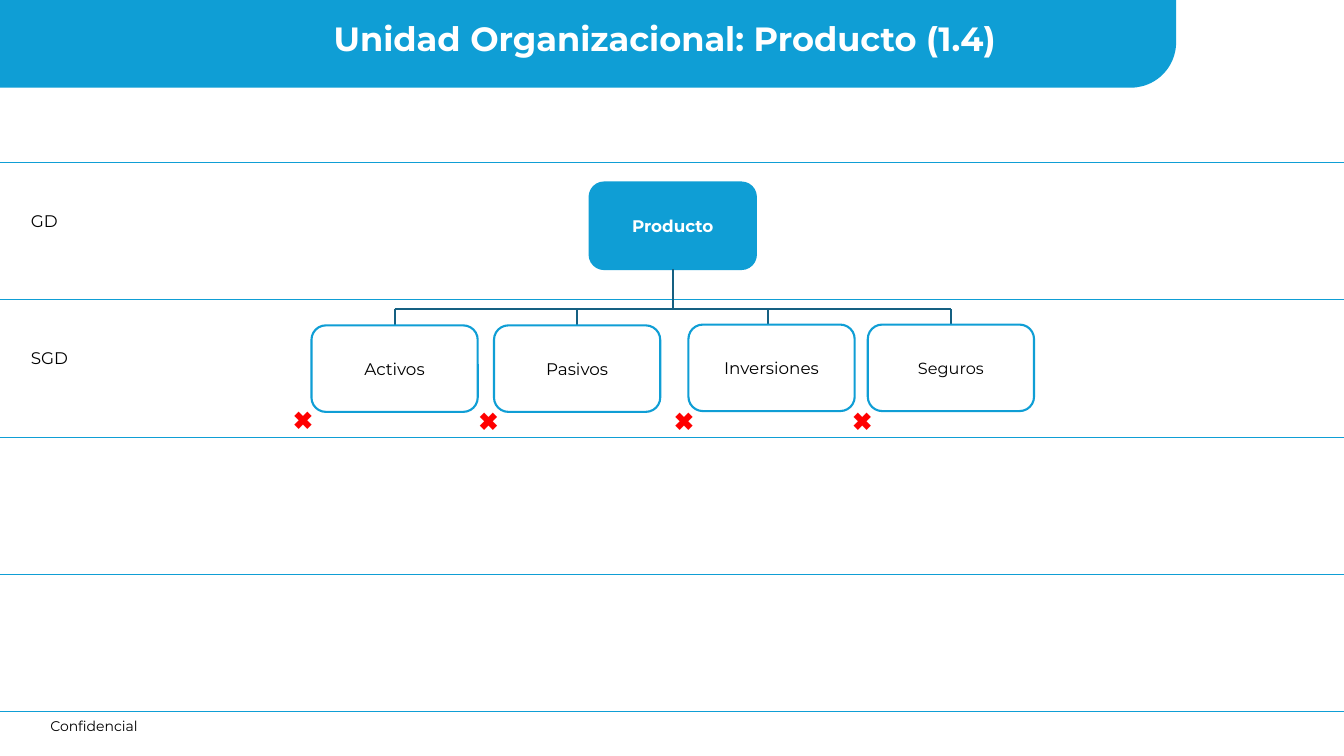
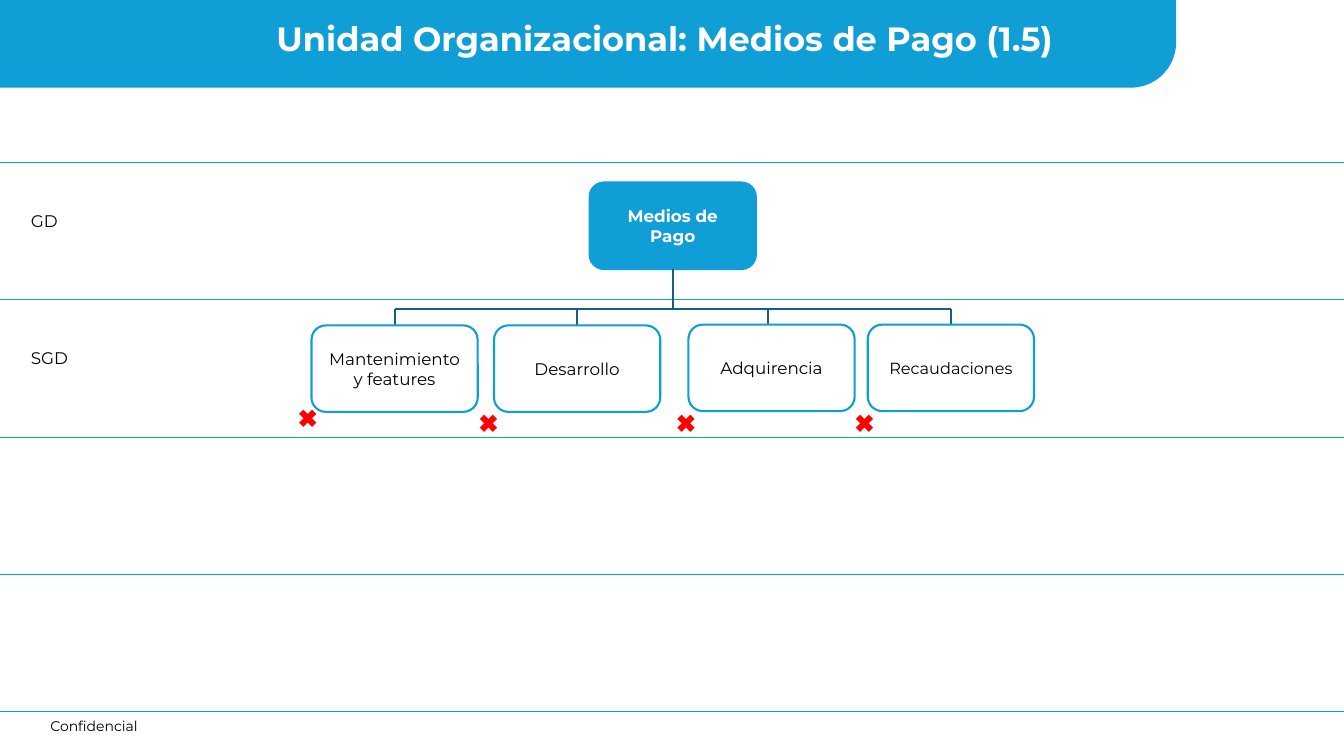
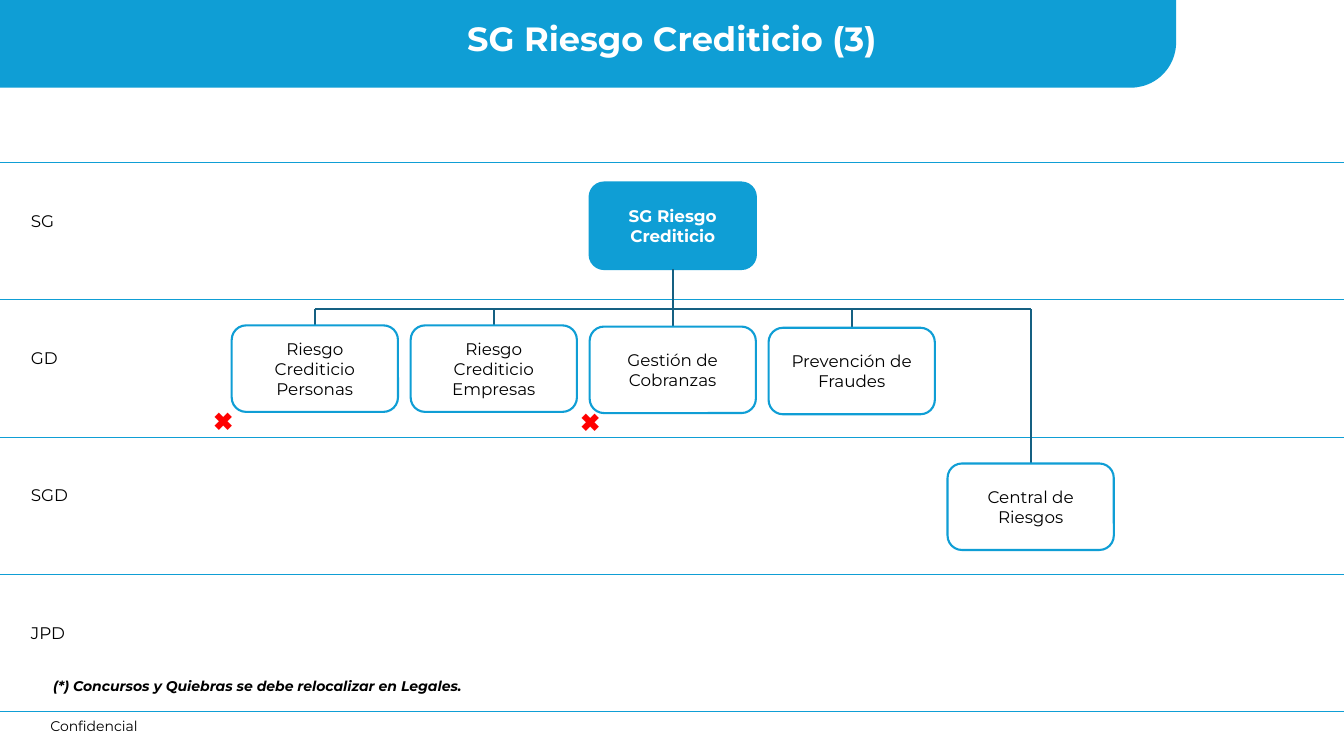
from dataclasses import dataclass
from typing import Optional

from pptx import Presentation
from pptx import util as u
from pptx.dml import color
from pptx.enum import shapes, text
from pptx.oxml import ns
from lxml import etree


# Theme: colours, fonts and type sizes
@dataclass(frozen=True)
class Theme:
    blue: str = "0F9ED5"
    link: str = "156082"
    black: str = "000000"
    white: str = "FFFFFF"
    red: str = "FF0000"
    font: str = "Montserrat"
    mark_font: str = "Roboto"
    title_size: float = 24
    mark_size: float = 18
    body_size: float = 12
    small_size: float = 10


THEME = Theme()

# Shared geometry, in centimetres
SLIDE_W, SLIDE_H = 33.87, 19.05
ROW_TOP, ROW_STEP, ROW_LINES = 4.09, 3.46, 5
UNIT_W, UNIT_H = 4.19, 2.18
HEAD_X, HEAD_Y = 14.86, 4.6
BUS_Y = 7.79


@dataclass(frozen=True)
class Unit:
    name: str
    x: float
    y: float = 8.2
    mark: Optional[tuple[float, float]] = None
    size: float = THEME.body_size
    drop_shift: float = 0

    @property
    def center(self) -> float:
        return self.x + UNIT_W / 2


@dataclass(frozen=True)
class Chart:
    title: str
    levels: tuple[str, ...]
    head: str
    units: tuple[Unit, ...]
    title_x: float = 4.24
    note: str = ""


# Content
def four_units(names: tuple[str, ...], marks: tuple[tuple[float, float], ...]) -> tuple[Unit, ...]:
    """The four-unit row that both organisational units use."""
    first, second, third, fourth = names
    return (
        Unit(first, 7.85, mark=marks[0]),
        Unit(second, 12.45, mark=marks[1]),
        Unit(third, 17.35, 8.18, marks[2], drop_shift=-0.09),
        Unit(fourth, 21.87, 8.18, marks[3], size=11.5),
    )


def risk_x(column: int) -> float:
    return 5.84 + 4.51 * column


CHARTS = (
    Chart(
        "Unidad Organizacional: Producto (1.4)", ("GD", "SGD"), "Producto",
        four_units(("Activos", "Pasivos", "Inversiones", "Seguros"),
                   ((7.14, 10.06), (11.81, 10.08), (16.74, 10.08), (21.23, 10.08))),
    ),
    Chart(
        "Unidad Organizacional: Medios de Pago (1.5)", ("GD", "SGD"), "Medios de Pago",
        four_units(("Mantenimiento y features", "Desarrollo", "Adquirencia", "Recaudaciones"),
                   ((7.26, 10.01), (11.81, 10.13), (16.79, 10.13), (21.29, 10.13))),
    ),
    Chart(
        "SG Riesgo Crediticio (3)", ("SG", "GD", "SGD", "JPD"), "SG Riesgo Crediticio",
        (
            Unit("Riesgo Crediticio Personas", risk_x(0), mark=(5.13, 10.08)),
            Unit("Riesgo Crediticio Empresas", risk_x(1)),
            Unit("Gestión de Cobranzas", risk_x(2), 8.23, (14.38, 10.11)),
            Unit("Prevención de Fraudes", risk_x(3), 8.26),
            Unit("Central de Riesgos", risk_x(4), 11.68),
        ),
        title_x=4.42,
        note="(*) Concursos y Quiebras se debe relocalizar en Legales.",
    ),
)


# Drawing helpers
def rgb(value: str) -> color.RGBColor:
    return color.RGBColor.from_string(value)


def write(shape, words: str, *, size: float = THEME.body_size, ink: str = THEME.black,
          font: str = THEME.font, bold: bool = False, italic: bool = False,
          centered: bool = False) -> None:
    frame = shape.text_frame
    frame.word_wrap = True
    paragraph = frame.paragraphs[0]
    paragraph.alignment = text.PP_ALIGN.CENTER if centered else text.PP_ALIGN.LEFT
    run = paragraph.add_run()
    run.text = words
    run.font.name = font
    run.font.size = u.Pt(size)
    run.font.bold = bold
    run.font.italic = italic
    run.font.color.rgb = rgb(ink)


def add_text(slide, words: str, x: float, y: float, w: float, h: float, **style) -> None:
    write(slide.shapes.add_textbox(u.Cm(x), u.Cm(y), u.Cm(w), u.Cm(h)), words, **style)


def add_line(slide, x1: float, y1: float, x2: float, y2: float,
             ink: str = THEME.link, weight: float = 1.5) -> None:
    line = slide.shapes.add_connector(
        shapes.MSO_CONNECTOR.STRAIGHT, u.Cm(x1), u.Cm(y1), u.Cm(x2), u.Cm(y2))
    line.line.color.rgb = rgb(ink)
    line.line.width = u.Pt(weight)
    etree.SubElement(line._element.spPr, ns.qn("a:effectLst"))


def add_unit(slide, name: str, x: float, y: float, *, filled: bool = False,
             size: float = THEME.body_size) -> None:
    box = slide.shapes.add_shape(
        shapes.MSO_SHAPE.ROUNDED_RECTANGLE, u.Cm(x), u.Cm(y), u.Cm(UNIT_W), u.Cm(UNIT_H))
    box.shadow.inherit = False
    box.line.color.rgb = rgb(THEME.blue)
    box.line.width = u.Pt(1.5)
    if filled:
        box.fill.solid()
        box.fill.fore_color.rgb = rgb(THEME.blue)
    else:
        box.fill.background()
    box.text_frame.vertical_anchor = text.MSO_ANCHOR.MIDDLE
    write(box, name, size=size, ink=THEME.white if filled else THEME.black,
          bold=filled, centered=True)


# Slide parts
def draw_frame(slide, chart: Chart) -> None:
    # Footer and level lines
    add_text(slide, "Confidencial", 1.02, 17.96, 3.5, 0.69, size=THEME.small_size)
    for row in range(ROW_LINES):
        y = ROW_TOP + row * ROW_STEP
        add_line(slide, 0, y, SLIDE_W, y, THEME.blue, 0.5)

    # Title band, rounded at the lower right
    band = slide.shapes.add_shape(
        shapes.MSO_SHAPE.ROUND_1_RECTANGLE, u.Cm(0), u.Cm(-0.08), u.Cm(29.64), u.Cm(2.29))
    band.adjustments[0] = 0.5
    band.rotation = 180
    band._element.spPr.xfrm.set("flipH", "1")
    band.shadow.inherit = False
    band.fill.solid()
    band.fill.fore_color.rgb = rgb(THEME.blue)
    band.line.fill.background()
    add_text(slide, chart.title, chart.title_x, 0.33, 25.02, 1.27,
             size=THEME.title_size, ink=THEME.white, bold=True, centered=True)

    # Level names
    for row, level in enumerate(chart.levels):
        add_text(slide, level, 0.53, ROW_TOP + 1.09 + row * ROW_STEP, 1.7, 0.76)


def draw_tree(slide, chart: Chart) -> None:
    # Head unit and its links
    head_center = HEAD_X + UNIT_W / 2
    add_unit(slide, chart.head, HEAD_X, HEAD_Y, filled=True)
    add_line(slide, head_center, HEAD_Y + UNIT_H, head_center, BUS_Y)
    add_line(slide, chart.units[0].center, BUS_Y, chart.units[-1].center, BUS_Y)

    # Dependent units
    for unit in chart.units:
        drop_x = unit.center + unit.drop_shift
        add_line(slide, drop_x, BUS_Y, drop_x, unit.y)
        add_unit(slide, unit.name, unit.x, unit.y, size=unit.size)
        if unit.mark:
            add_text(slide, "✖︎", *unit.mark, 1.14, 1.02, size=THEME.mark_size,
                     ink=THEME.red, font=THEME.mark_font)


def main() -> None:
    deck = Presentation()
    deck.slide_width, deck.slide_height = u.Cm(SLIDE_W), u.Cm(SLIDE_H)
    for chart in CHARTS:
        slide = deck.slides.add_slide(deck.slide_layouts[6])
        draw_frame(slide, chart)
        draw_tree(slide, chart)
        if chart.note:
            add_text(slide, chart.note, 1.09, 16.94, 11.5, 0.69,
                     size=THEME.small_size, bold=True, italic=True)
    deck.save("out.pptx")


if __name__ == "__main__":
    main()
